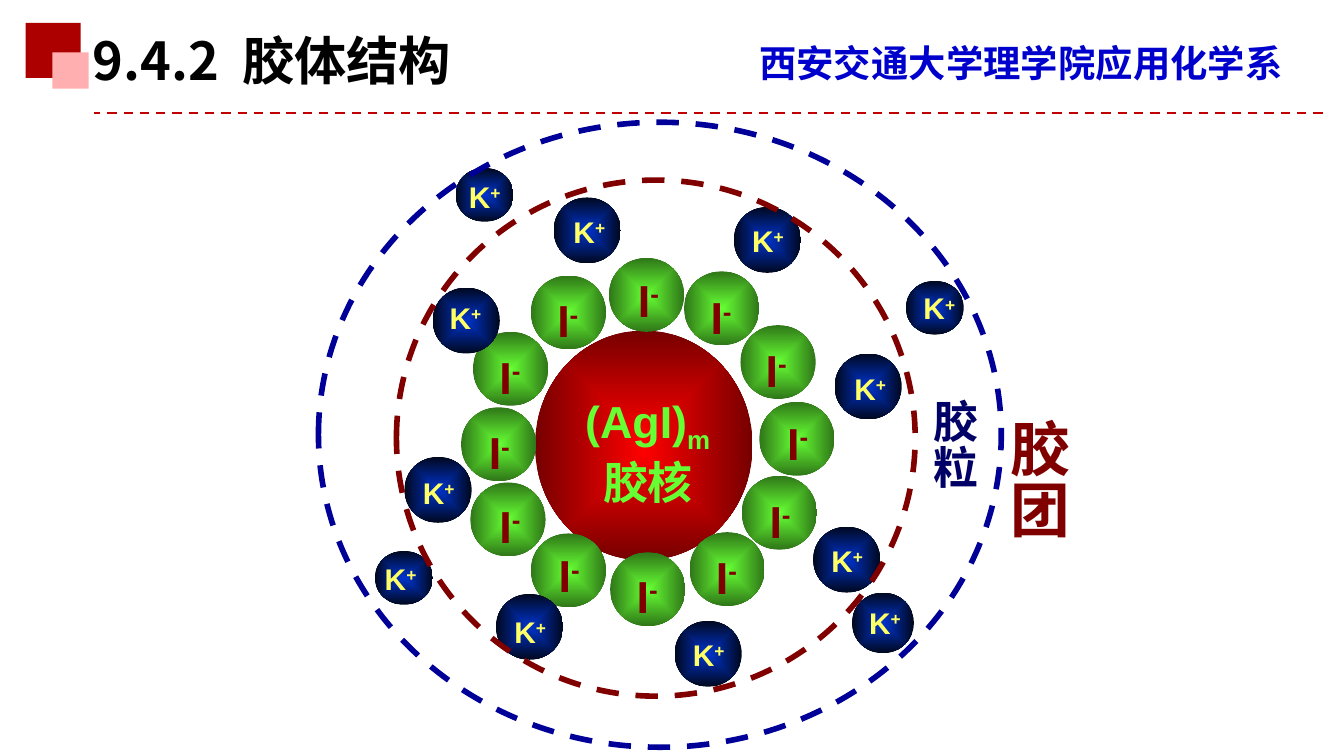
"""Build a slide that shows the structure of a silver iodide colloid."""
from dataclasses import dataclass

from lxml import etree
from pptx import Presentation
from pptx.dml.color import RGBColor
from pptx.enum.dml import MSO_LINE
from pptx.enum.shapes import MSO_CONNECTOR, MSO_SHAPE
from pptx.enum.text import MSO_ANCHOR, MSO_AUTO_SIZE, PP_ALIGN
from pptx.oxml.ns import qn
from pptx.util import Pt

DASH = MSO_LINE.DASH
STRAIGHT = MSO_CONNECTOR.STRAIGHT
RECT, OVAL = MSO_SHAPE.RECTANGLE, MSO_SHAPE.OVAL
TOP = MSO_ANCHOR.TOP
FIXED = MSO_AUTO_SIZE.NONE
LEFT, CENTER = PP_ALIGN.LEFT, PP_ALIGN.CENTER


@dataclass(frozen=True)
class Theme:
    """Colours, fonts and type sizes of the slide."""
    black: str = "000000"
    red: str = "AC0000"
    pink: str = "FFAFAF"
    rule: str = "C00000"
    blue: str = "0000CC"
    ring: str = "000099"
    navy: str = "000066"
    maroon: str = "800000"
    lime: str = "66FF33"
    yellow: str = "FFFF66"
    core: tuple[str, str] = ("FF0000", "760000")
    green: tuple[str, str] = ("66FF33", "2F7618")
    ink: tuple[str, str] = ("0033CC", "00081F")
    sans: str = "Arial"
    han: str = "Noto Sans CJK SC"
    serif: str = "Times New Roman"
    title: int = 28
    head: int = 20
    huge: int = 32
    large: int = 24
    small: int = 16


@dataclass(frozen=True)
class Box:
    """A frame in points."""
    x: float
    y: float
    w: float
    h: float


@dataclass(frozen=True)
class Span:
    """A run of text with its look."""
    text: str
    size: int
    color: str
    font: str
    base: int = 0
    space: int = 0


@dataclass(frozen=True)
class Kind:
    """A sort of ion: its ball, label size and label text."""
    w: float
    h: float
    label: float
    fill: tuple[str, str]
    spans: tuple[Span, ...]


@dataclass(frozen=True)
class Ion:
    """A ball's corner and the shift from it to its label."""
    x: float
    y: float
    dx: float
    dy: float


T = Theme()
IODIDE = (Span("I", T.large, T.maroon, T.sans), Span("-", T.large, T.maroon, T.sans, 30))
POTASH = (Span("K", T.small, T.yellow, T.sans), Span("+", T.small, T.yellow, T.sans, 30))
ANION = Kind(40.3, 39.6, 32.4, T.green, IODIDE)
INNER = Kind(36, 35.3, 33.8, T.ink, POTASH)
OUTER = Kind(31, 28.8, 33.8, T.ink, POTASH)
BROAD = Kind(33.1, 32.4, 33.8, T.ink, POTASH)

FAR = {
    OUTER: (Ion(244.1, 90, -1.4, 2.2), Ion(485.3, 150.5, 1, 1.4),
            Ion(200.9, 295.2, -3.2, 1.4)),
    BROAD: (Ion(456.5, 317.5, 0.7, 2.9),),
}
NEAR = {
    ANION: (Ion(284.4, 285.8, 4.3, 4.3), Ion(326.9, 295.9, 3.6, 5),
            Ion(369.4, 285.1, 3.6, 5.8), Ion(252, 258.5, 5, 5),
            Ion(247, 218.2, 4.3, 5.8), Ion(326.2, 138.2, 5, 4.3),
            Ion(366.5, 145.4, 3.6, 6.5), Ion(396.7, 174.2, 2.9, 5.8),
            Ion(406.8, 215.3, 4.3, 3.6), Ion(397.4, 254.9, 4.3, 5.8),
            Ion(284.4, 147.6, 3.6, 5.8), Ion(253.4, 177.8, 3.6, 5.8)),
    INNER: (Ion(231.8, 154.1, 0.7, 2.9), Ion(435.6, 282.2, 1.4, 5),
            Ion(265.7, 318.2, 1.4, 7.2), Ion(393.1, 110.9, 1.4, 5),
            Ion(216.7, 244.8, 1.4, 5.8), Ion(447.1, 189.4, 2.2, 5.8),
            Ion(296.6, 105.8, 2.2, 5), Ion(361.4, 332.6, 1.4, 5)),
}


def frame(box: Box) -> tuple[int, ...]:
    """Turn a box into slide lengths."""
    return tuple(Pt(n) for n in (box.x, box.y, box.w, box.h))


def write(shape, lines, align=CENTER, wrap=False, pitch=1.0) -> None:
    """Fill a shape with lines of spans."""
    text = shape.text_frame
    text.auto_size, text.word_wrap, text.vertical_anchor = FIXED, wrap, TOP
    for i, line in enumerate(lines):
        para = text.add_paragraph() if i else text.paragraphs[0]
        para.alignment, para.line_spacing = align, pitch
        para.space_before = Pt(0)
        for span in line:
            run = para.add_run()
            run.text = span.text
            font = run.font
            font.size, font.bold, font.name = Pt(span.size), True, span.font
            font.color.rgb = RGBColor.from_string(span.color)
            props = run._r.get_or_add_rPr()
            etree.SubElement(props, qn("a:ea"), typeface=T.han)
            if span.base:
                props.set("baseline", str(span.base * 1000))
            if span.space:
                props.set("spc", str(span.space * 100))


def note(slide, box: Box, lines, **look) -> None:
    """Add a text box."""
    write(slide.shapes.add_textbox(*frame(box)), lines, **look)


def block(slide, box: Box, color: str) -> None:
    """Add a plain square."""
    shape = slide.shapes.add_shape(RECT, *frame(box))
    shape.shadow.inherit = False
    shape.fill.solid()
    shape.fill.fore_color.rgb = RGBColor.from_string(color)
    shape.line.fill.background()


def ball(slide, box: Box, colors: tuple[str, str]) -> None:
    """Add a ball shaded from its centre."""
    shape = slide.shapes.add_shape(OVAL, *frame(box))
    shape.shadow.inherit = False
    shape.line.fill.background()
    shape.fill.gradient()
    for stop, color, at in zip(shape.fill.gradient_stops, colors, (0, 1)):
        stop.color.rgb = RGBColor.from_string(color)
        stop.position = at
    grad = shape._element.spPr.find(qn("a:gradFill"))
    grad.remove(grad.find(qn("a:lin")))
    shade = etree.SubElement(grad, qn("a:path"), path="shape")
    etree.SubElement(shade, qn("a:fillToRect"), dict.fromkeys("ltrb", "50000"))


def stroke(line, color: str, width: float) -> None:
    """Make a line dashed."""
    line.color.rgb = RGBColor.from_string(color)
    line.width, line.dash_style = Pt(width), DASH


def ring(slide, box: Box, color: str) -> None:
    """Add a dashed ring."""
    shape = slide.shapes.add_shape(OVAL, *frame(box))
    shape.shadow.inherit = False
    shape.fill.background()
    stroke(shape.line, color, 3)


def scatter(slide, groups: dict[Kind, tuple[Ion, ...]]) -> None:
    """Add the ions of each kind with their labels."""
    for kind, ions in groups.items():
        for ion in ions:
            ball(slide, Box(ion.x, ion.y, kind.w, kind.h), kind.fill)
            spot = Box(ion.x + ion.dx, ion.y + ion.dy, kind.label, kind.label)
            note(slide, spot, [kind.spans])


def header(slide) -> None:
    """Add the title, the marks beside it and the rule."""
    title = slide.shapes.title
    title.left, title.top, title.width, title.height = frame(Box(42.5, 15.1, 312, 41))
    look = (T.title, T.black)
    write(title, [(Span("9.4.2", *look, T.han), Span(" ", *look, T.han, space=6),
                   Span("胶体结构", *look, T.serif))], align=LEFT, wrap=True, pitch=0.9)
    block(slide, Box(13.7, 12.2, 29.5, 29.5), T.red)
    block(slide, Box(28.1, 28.1, 19.4, 19.4), T.pink)
    rule = slide.shapes.add_connector(STRAIGHT, Pt(708.5), Pt(60.7), Pt(50.4), Pt(60.7))
    stroke(rule.line, T.rule, 1.25)
    etree.SubElement(rule._element.spPr, qn("a:effectLst"))
    note(slide, Box(399.6, 20.9, 312, 31.7),
         [[Span("西安交通大学理学院应用化学系", T.head, T.blue, T.han)]], align=LEFT, pitch=0.9)


def main() -> None:
    """Build and save the slide."""
    deck = Presentation()
    deck.slide_width, deck.slide_height = Pt(720), Pt(405)
    slide = deck.slides.add_slide(deck.slide_layouts[5])
    header(slide)
    ball(slide, Box(286.6, 177.1, 116.6, 123.1), T.core)
    note(slide, Box(298.1, 207.4, 97.9, 67), [
        (Span("(AgI)", T.large, T.lime, T.sans), Span("m", T.large, T.lime, T.sans, -25)),
        (Span("胶核", T.large, T.lime, T.han),)])
    scatter(slide, FAR)
    ring(slide, Box(170.6, 65.5, 365.8, 334.8), T.ring)
    note(slide, Box(534.2, 222.5, 36, 75.6), [[Span("胶团", T.huge, T.maroon, T.han)]],
         wrap=True, pitch=0.86)
    scatter(slide, NEAR)
    ring(slide, Box(212.4, 96.5, 277.9, 276.5), T.maroon)
    note(slide, Box(493.2, 211.7, 31.7, 65.5), [[Span("胶粒", T.large, T.navy, T.han)]],
         wrap=True, pitch=0.86)
    deck.save("out.pptx")


if __name__ == "__main__":
    main()
